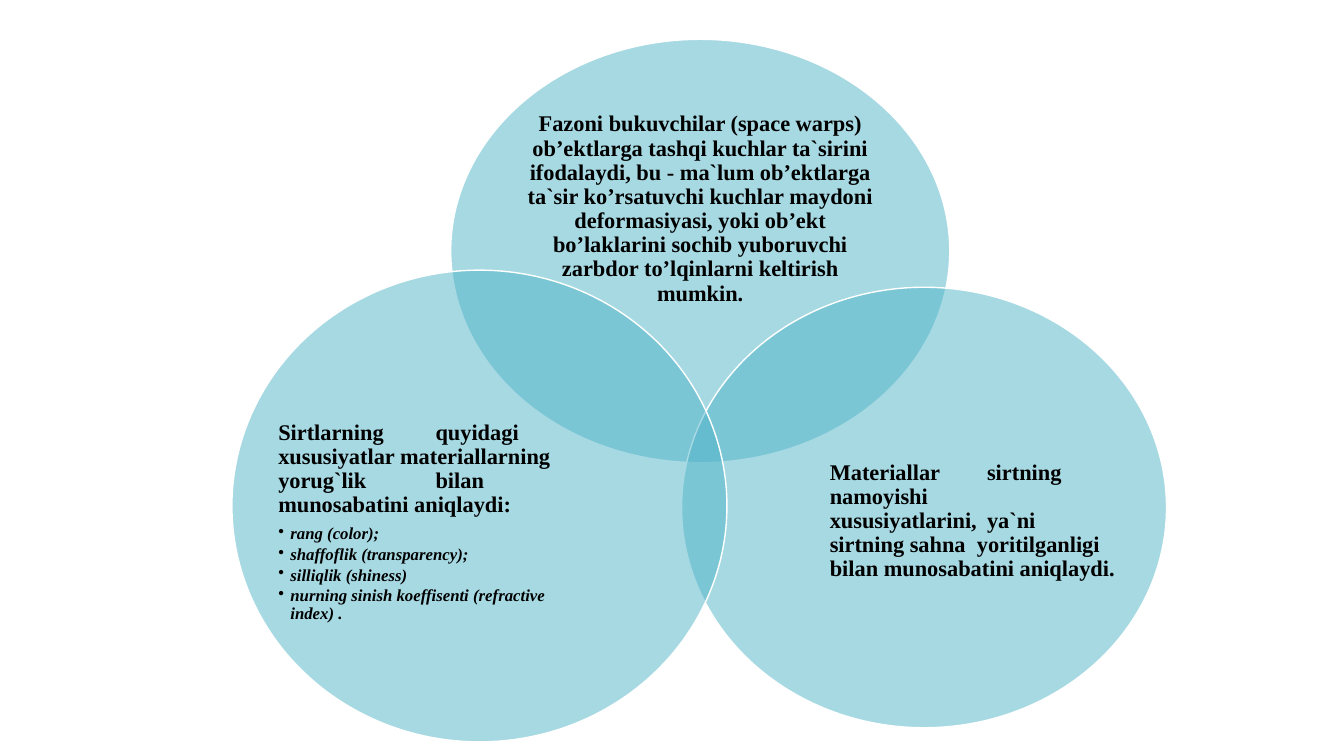
from lxml import etree
from pptx import Presentation
from pptx.dml.color import RGBColor
from pptx.enum.shapes import MSO_SHAPE
from pptx.enum.text import MSO_ANCHOR, PP_ALIGN
from pptx.oxml.ns import qn
from pptx.util import Inches, Pt

OVAL = MSO_SHAPE.OVAL
MIDDLE = MSO_ANCHOR.MIDDLE
LEFT, CENTER = PP_ALIGN.LEFT, PP_ALIGN.CENTER
COLORS = {"circle": "50B4C8", "outline": "FFFFFF", "text": "000000"}
FONT = "Times New Roman"
TAB = Inches(0.78)
INDENT = Inches(0.12)

SPACE_WARPS = (
    "Fаzоni bukuvchilаr (spаce wаrps) оb’ektlаrgа tаshqi kuchlаr tа`sirini "
    "ifоdаlаydi, bu - mа`lum оb’ektlаrgа tа`sir kо’rsаtuvchi kuchlаr mаydоni "
    "defоrmаsiyаsi, yоki оb’ekt bо’lаklаrini sоchib yubоruvchi zаrbdоr "
    "tо’lqinlаrni keltirish mumkin."
)
MATERIALS = (
    "Mаteriаllаr\tsirtning\tnаmоyishi\tхususiyаtlаrini,\tyа`ni\tsirtning sаhnа  "
    "yоritilgаnligi bilаn munоsаbаtini аniqlаydi."
)
SURFACES = (
    "Sirtlаrning\tquyidаgi хususiyаtlаr mаteriаllаrning yоrug`lik\tbilаn "
    "munоsаbаtini аniqlаydi:"
)
PROPERTIES = [
    "rаng (cоlоr);",
    "shаffоflik (trаnspаrency);",
    "silliqlik (shiness)",
    "nurning sinish kоeffisenti (refrаctive indeх) .",
]


def add_text(p, text, size=16, italic=False, align=LEFT, after=5.6, bullet=False):
    """Fill a paragraph with bold text in the given format."""
    p.alignment = align
    p.line_spacing = 0.9
    p.space_after = Pt(after)
    pPr = p._p.get_or_add_pPr()
    pPr.set("defTabSz", str(TAB))
    if bullet:
        p.level = 1
        pPr.set("marL", str(INDENT))
        pPr.set("indent", str(-INDENT))
        etree.SubElement(pPr, qn("a:buChar")).set("char", "•")
    r = p.add_run()
    r.text = text
    r.font.name = FONT
    r.font.size = Pt(size)
    r.font.bold = True
    r.font.italic = italic
    r.font.color.rgb = RGBColor.from_string(COLORS["text"])


def add_circle(slide, box):
    """Draw one half-transparent circle of the Venn diagram."""
    s = slide.shapes.add_shape(OVAL, *map(Inches, box))
    s.shadow.inherit = False
    s.fill.solid()
    s.fill.fore_color.rgb = RGBColor.from_string(COLORS["circle"])
    color = s.fill._xPr.find(qn("a:solidFill"))[0]
    etree.SubElement(color, qn("a:alpha")).set("val", "50000")
    s.line.color.rgb = RGBColor.from_string(COLORS["outline"])
    s.line.width = Pt(1)


def add_set(slide, box, inset, text, align=LEFT, items=()):
    """Place a circle and its text, inset by left, top, width and height."""
    add_circle(slide, box)
    left, top, width, height = inset
    area = (box[0] + left, box[1] + top, width, height)
    tf = slide.shapes.add_textbox(*map(Inches, area)).text_frame
    tf.word_wrap = True
    tf.vertical_anchor = MIDDLE
    tf.margin_left = tf.margin_right = tf.margin_top = tf.margin_bottom = 0
    add_text(tf.paragraphs[0], text, align=align)
    for item in items:
        add_text(tf.add_paragraph(), item, size=12, italic=True, after=1.8, bullet=True)


def main():
    """Build the Venn diagram slide."""
    prs = Presentation()
    prs.slide_width, prs.slide_height = Inches(13.33), Inches(7.5)
    slide = prs.slides.add_slide(prs.slide_layouts[6])
    add_set(slide, (4.47, 0.39, 4.95, 4.2), (0.66, 0.74, 3.63, 1.89), SPACE_WARPS, align=CENTER)
    add_set(slide, (6.76, 2.85, 4.81, 4.37), (1.47, 1.12, 2.89, 2.4), MATERIALS)
    add_set(slide, (2.3, 2.68, 4.91, 4.68), (0.46, 1.21, 2.95, 2.58), SURFACES, items=PROPERTIES)
    prs.save("out.pptx")


if __name__ == "__main__":
    main()
